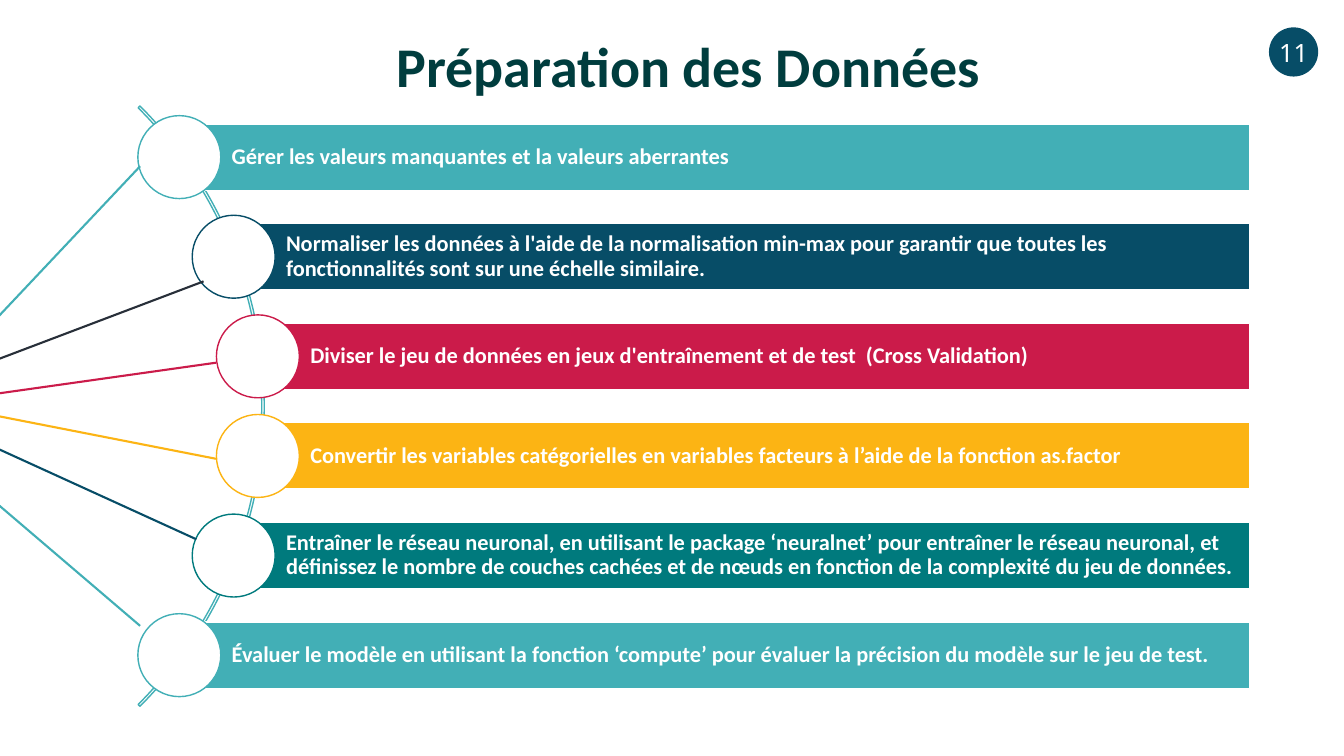
from lxml import etree
from pptx import Presentation
from pptx.dml.color import RGBColor
from pptx.enum.shapes import MSO_CONNECTOR as CONN, MSO_SHAPE as SHAPE
from pptx.enum.text import MSO_ANCHOR as ANCHOR, PP_ALIGN as ALIGN
from pptx.oxml.ns import qn
from pptx.util import Cm, Pt

WHITE = RGBColor(0xFF, 0xFF, 0xFF)
TEAL = RGBColor(0x42, 0xAF, 0xB6)
NAVY = RGBColor(0x07, 0x4D, 0x67)
RED = RGBColor(0xCB, 0x1B, 0x4A)
YELLOW = RGBColor(0xFC, 0xB4, 0x14)
GREEN = RGBColor(0x00, 0x7A, 0x7D)
DARK = RGBColor(0x28, 0x2F, 0x39)
TITLE = RGBColor(0x00, 0x3D, 0x3E)

BAR_RIGHT, BAR_HEIGHT = 31.49, 1.67
DISC = 2.09
FIRST_MIDDLE, STEP = 3.96, 2.51

STEPS = [
    (4.52, TEAL, "Gérer les valeurs manquantes et la valeurs aberrantes"),
    (5.89, NAVY, "Normaliser les données à l'aide de la normalisation min-max pour garantir "
                 "que toutes les fonctionnalités sont sur une échelle similaire."),
    (6.5, RED, "Diviser le jeu de données en jeux d'entraînement et de test  (Cross Validation)"),
    (6.5, YELLOW, "Convertir les variables catégorielles en variables facteurs à l’aide "
                  "de la fonction as.factor"),
    (5.89, GREEN, "Entraîner le réseau neuronal, en utilisant le package ‘neuralnet’ pour "
                  "entraîner le réseau neuronal, et définissez le nombre de couches cachées "
                  "et de nœuds en fonction de la complexité du jeu de données."),
    (4.52, TEAL, "Évaluer le modèle en utilisant la fonction ‘compute’ pour évaluer la "
                 "précision du modèle sur le jeu de test."),
]

SPOKES = [
    (-0.28, 8.23, 3.53, 4.19, TEAL),
    (-0.28, 9.14, 5.13, 7.09, DARK),
    (-0.51, 9.98, 5.44, 9.14, RED),
    (5.44, 11.56, -0.28, 10.44, YELLOW),
    (4.95, 13.59, -0.51, 11.1, NAVY),
    (3.53, 15.77, -1.4, 11.56, TEAL),
]

prs = Presentation()
prs.slide_width, prs.slide_height = Cm(33.87), Cm(19.05)
s = prs.slides.add_slide(prs.slide_layouts[6])


def add_preset(kind, x, y, w, h, fill, line):
    sp = s.shapes.add_shape(kind, Cm(x), Cm(y), Cm(w), Cm(h))
    sp.shadow.inherit = False
    if fill is None:
        sp.fill.background()
    else:
        sp.fill.solid()
        sp.fill.fore_color.rgb = fill
    if line is None:
        sp.line.fill.background()
    else:
        sp.line.color.rgb = line
        sp.line.width = Pt(1)
    return sp


def add_run(p, text, size, font, color, bold=False):
    r = p.add_run()
    r.text = text
    r.font.size = Pt(size)
    r.font.name = font
    r.font.bold = bold
    r.font.color.rgb = color


badge = add_preset(SHAPE.OVAL, 31.98, 0.69, 1.24, 1.24, NAVY, None)
tf = badge.text_frame
tf.word_wrap = False
tf.vertical_anchor = ANCHOR.MIDDLE
p = tf.paragraphs[0]
p.alignment = ALIGN.CENTER
add_run(p, "11", 18, "Noto Sans", WHITE)

title = s.shapes.add_textbox(Cm(9.75), Cm(0.66), Cm(18.01), Cm(1.96))
tf = title.text_frame
tf.word_wrap = True
add_run(tf.paragraphs[0], "Préparation des Données", 40, "Calibri", TITLE, True)

arc = add_preset(SHAPE.BLOCK_ARC, -14.73, -0.46, 21.39, 21.39, None, TEAL)
for i, value in enumerate((189, 27, 0.003)):
    arc.adjustments[i] = value

for i, (left, color, text) in enumerate(STEPS):
    middle = FIRST_MIDDLE + i * STEP
    bar = add_preset(SHAPE.RECTANGLE, left, middle - BAR_HEIGHT / 2,
                     BAR_RIGHT - left, BAR_HEIGHT, color, WHITE)
    tf = bar.text_frame
    tf.word_wrap = True
    tf.vertical_anchor = ANCHOR.MIDDLE
    tf.margin_left = Cm(1.32)
    tf.margin_top = tf.margin_right = tf.margin_bottom = Cm(0.1)
    p = tf.paragraphs[0]
    p.alignment = ALIGN.LEFT
    p.line_spacing = 0.9
    add_run(p, text, 16, "Calibri", WHITE, True)
    add_preset(SHAPE.OVAL, left - DISC / 2, middle - DISC / 2, DISC, DISC, WHITE, color)

for x1, y1, x2, y2, color in SPOKES:
    spoke = s.shapes.add_connector(CONN.STRAIGHT, Cm(x1), Cm(y1), Cm(x2), Cm(y2))
    spoke.line.color.rgb = color
    spoke.line.width = Pt(1.5)
    etree.SubElement(spoke._element.spPr, qn("a:effectLst"))

prs.save("out.pptx")
